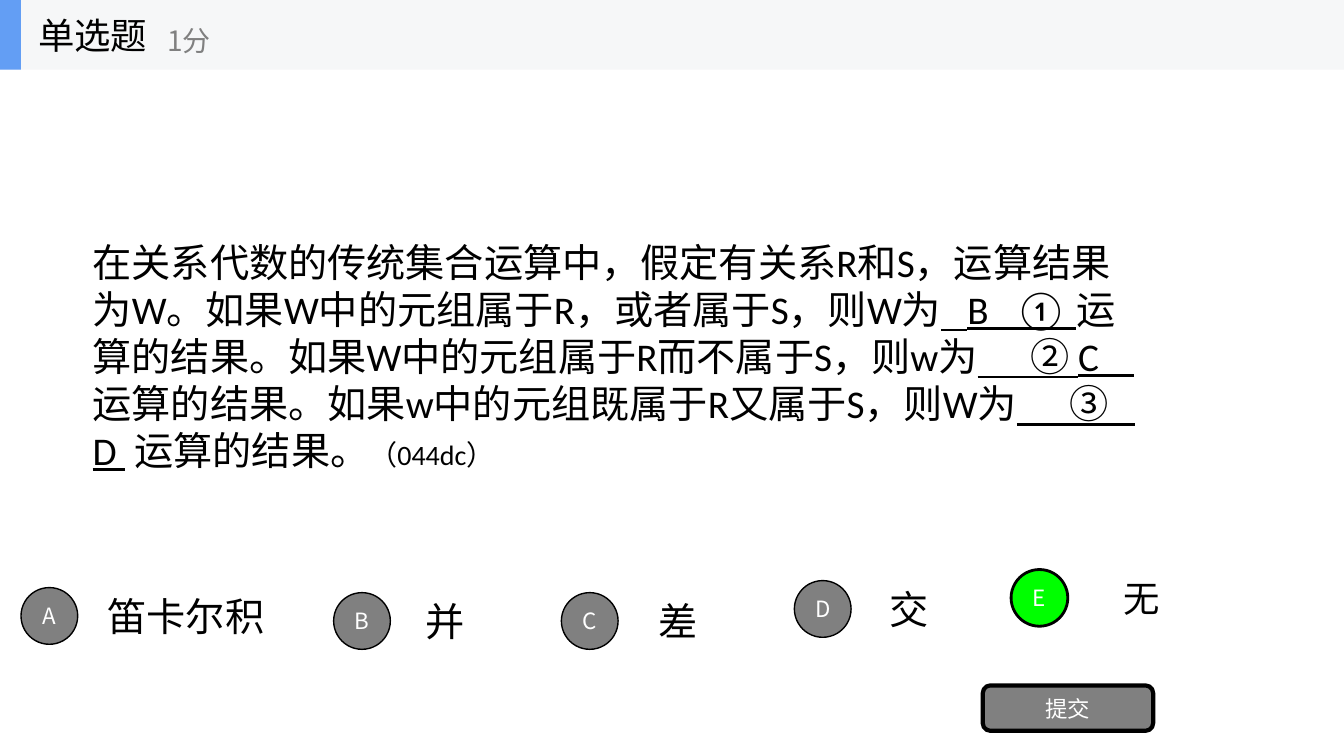
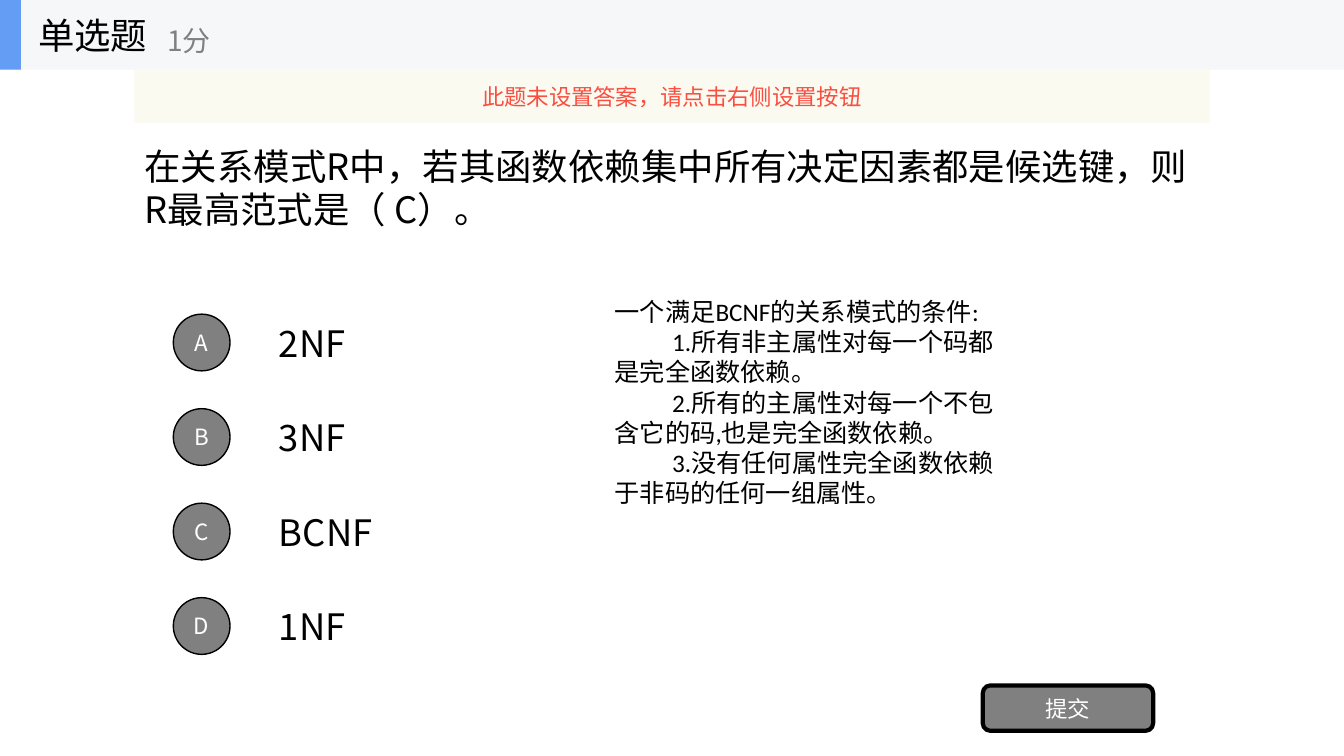
from lxml import etree
from pptx import Presentation
from pptx.dml.color import RGBColor
from pptx.enum import shapes, text
from pptx.oxml import ns
from pptx.util import Pt

BLACK = RGBColor(0x00, 0x00, 0x00)
WHITE = RGBColor(0xFF, 0xFF, 0xFF)
GRAY = RGBColor(0x80, 0x80, 0x80)
GREEN = RGBColor(0x00, 0xFF, 0x00)
BAND = RGBColor(0xF6, 0xF7, 0xF8)
ACCENT = RGBColor(0x63, 0x9E, 0xF4)
CREAM = RGBColor(0xFB, 0xFA, 0xEF)
RED = RGBColor(0xF8, 0x4F, 0x41)

CHINESE_FONT = "Noto Sans CJK SC"
LATIN_FONT = "Calibri"

HEADING = {"size": Pt(26), "name": CHINESE_FONT}
POINTS = {"size": Pt(20), "name": CHINESE_FONT}
LABEL = {"size": Pt(16), "name": CHINESE_FONT}
LARGE = {"size": Pt(28), "name": LATIN_FONT}
NOTE = {"size": Pt(18), "name": LATIN_FONT}
UNDERLINED = {"underline": True}

LEFT, CENTER = text.PP_ALIGN.LEFT, text.PP_ALIGN.CENTER
MIDDLE, TOP = text.MSO_ANCHOR.MIDDLE, text.MSO_ANCHOR.TOP
BAND_HEIGHT = 49.7
CIRCLE_SIZE = 40.5
OPTION_HEIGHT = 50.5


def write(shape, paragraphs, font_format, color=BLACK, align=LEFT, anchor=MIDDLE, indent=0):
    """Fill a shape with paragraphs, each a list of (text, format changes)."""
    frame = shape.text_frame
    frame.word_wrap = True
    frame.auto_size = text.MSO_AUTO_SIZE.NONE
    frame.vertical_anchor = anchor
    for index, runs in enumerate(paragraphs):
        paragraph = frame.add_paragraph() if index else frame.paragraphs[0]
        properties = paragraph._p.get_or_add_pPr()
        properties.set("marL", "0")
        properties.set("indent", str(Pt(indent) if index else 0))
        etree.SubElement(properties, ns.qn("a:buNone"))
        paragraph.alignment = align
        paragraph.space_before = Pt(0)
        paragraph.line_spacing = Pt(round(font_format["size"].pt * 1.2, 1))
        for content, changes in runs:
            run = paragraph.add_run()
            run.text = content
            for name, value in {**font_format, **changes}.items():
                setattr(run.font, name, value)
            run.font.color.rgb = color
            east_asian = etree.SubElement(run._r.get_or_add_rPr(), ns.qn("a:ea"))
            east_asian.set("typeface", CHINESE_FONT)


def add_shape(slide, kind, box, fill, line_width=0):
    shape = slide.shapes.add_shape(kind, *map(Pt, box))
    shape.shadow.inherit = False
    shape.fill.solid()
    shape.fill.fore_color.rgb = fill
    if line_width:
        shape.line.color.rgb = BLACK
        shape.line.width = Pt(line_width)
    else:
        shape.line.fill.background()
    frame = shape.text_frame
    frame.margin_left = frame.margin_right = frame.margin_top = frame.margin_bottom = 0
    return shape


# Options: letter, answer, circle left, answer left, answer width, top
set_options = [
    ("A", "笛卡尔积", 15, 69.8, 163.4, 414.7),
    ("B", "并", 238.3, 296.6, 63.4, 418.3),
    ("C", "差", 401, 463, 57.6, 418.3),
    ("D", "交", 567.4, 628.6, 59, 409.7),
    ("E", "无", 722.2, 795.6, 84.2, 401.8),
]
form_options = [
    (letter, answer, 123.8, 192.2, 108, 219.4 + 67.5 * row)
    for row, (letter, answer) in enumerate(zip("ABCD", ("2NF", "3NF", "BCNF", "1NF")))
]

# Questions: box, format, runs, options, format of the options
questions = [
    ((59, 170, 768, 168.5), LARGE, [
        ("在关系代数的传统集合运算中，假定有关系R和S，运算结果为W。"
         "如果W中的元组属于R，或者属于S，则W为", {}),
        ("   B   ① ", UNDERLINED),
        ("运算的结果。如果W中的元组属于R而不属于S，则w为", {}),
        ("      ② C     ", UNDERLINED),
        ("运算的结果。如果w中的元组既属于R又属于S，则W为", {}),
        ("      ③    D ", UNDERLINED),
        (" 运算的结果。", {}),
        ("（044dc）", {"size": Pt(20)}),
    ], set_options, LARGE),
    ((96, BAND_HEIGHT, 768, 168.5), HEADING, [
        ("在关系模式R中，若其函数依赖集中所有决定因素都是候选键，"
         "则R最高范式是（ C）。", {}),
    ], form_options, HEADING),
]

presentation = Presentation()
presentation.slide_width, presentation.slide_height = Pt(960), Pt(540)
layout = presentation.slide_layouts[1]

for box, question_format, runs, options, option_format in questions:
    slide = presentation.slides.add_slide(layout)

    # Title, points and question
    title, question = slide.placeholders
    score = slide.shapes.add_textbox(0, 0, 0, 0)
    for shape, place in (
        (title, (20, 0, 150, BAND_HEIGHT)),
        (score, (112.3, 8.6, 180, 40.5)),
        (question, box),
    ):
        shape.left, shape.top, shape.width, shape.height = map(Pt, place)
    write(title, [[("单选题", {})]], HEADING)
    write(score, [[("1分", {})]], POINTS, GRAY)
    write(question, [runs], question_format)

    # Answer options
    for letter, answer, circle_left, answer_left, width, top in options:
        extra = letter == "E"
        circle = add_shape(slide, shapes.MSO_SHAPE.OVAL,
                           (circle_left, top + 5, CIRCLE_SIZE, CIRCLE_SIZE),
                           GREEN if extra else GRAY, 2 if extra else 1)
        write(circle, [[(letter, {})]], LABEL, WHITE, CENTER)
        answer_box = slide.shapes.add_textbox(
            *map(Pt, (answer_left, top, width, OPTION_HEIGHT)))
        write(answer_box, [[(answer, {})]], HEADING if extra else option_format)

    # Submit button
    button = add_shape(slide, shapes.MSO_SHAPE.ROUNDED_RECTANGLE,
                       (702, 489.6, 121.7, 32.4), GRAY, 3)
    write(button, [[("提交", {})]], LABEL, WHITE, CENTER)

# Explanation on the last slide
explanation = slide.shapes.add_textbox(*map(Pt, (432, 208, 298.8, 181.4)))
write(explanation, [[(line, {})] for line in (
    "一个满足BCNF的关系模式的条件:",
    "1.所有非主属性对每一个码都是完全函数依赖。",
    "2.所有的主属性对每一个不包含它的码,也是完全函数依赖。",
    "3.没有任何属性完全函数依赖于非码的任何一组属性。",
)], NOTE, anchor=TOP, indent=41)

# Notice below the header of the last slide
notice = add_shape(slide, shapes.MSO_SHAPE.RECTANGLE, (96, BAND_HEIGHT, 768, 38.2), CREAM)
fill_color = notice.element.spPr.find(".//" + ns.qn("a:srgbClr"))
etree.SubElement(fill_color, ns.qn("a:alpha")).set("val", "90000")
write(notice, [[("此题未设置答案，请点击右侧设置按钮", {})]], LABEL, RED, CENTER)

# Header band, shared through the layout
for index, (width, color) in enumerate(((960, BAND), (15, ACCENT))):
    band = add_shape(slide, shapes.MSO_SHAPE.RECTANGLE, (0, 0, width, BAND_HEIGHT), color)
    band.element.nvSpPr.cNvPr.set("id", str(20 + index))
    layout.shapes.element.insert(2 + index, band.element)

presentation.save("out.pptx")
